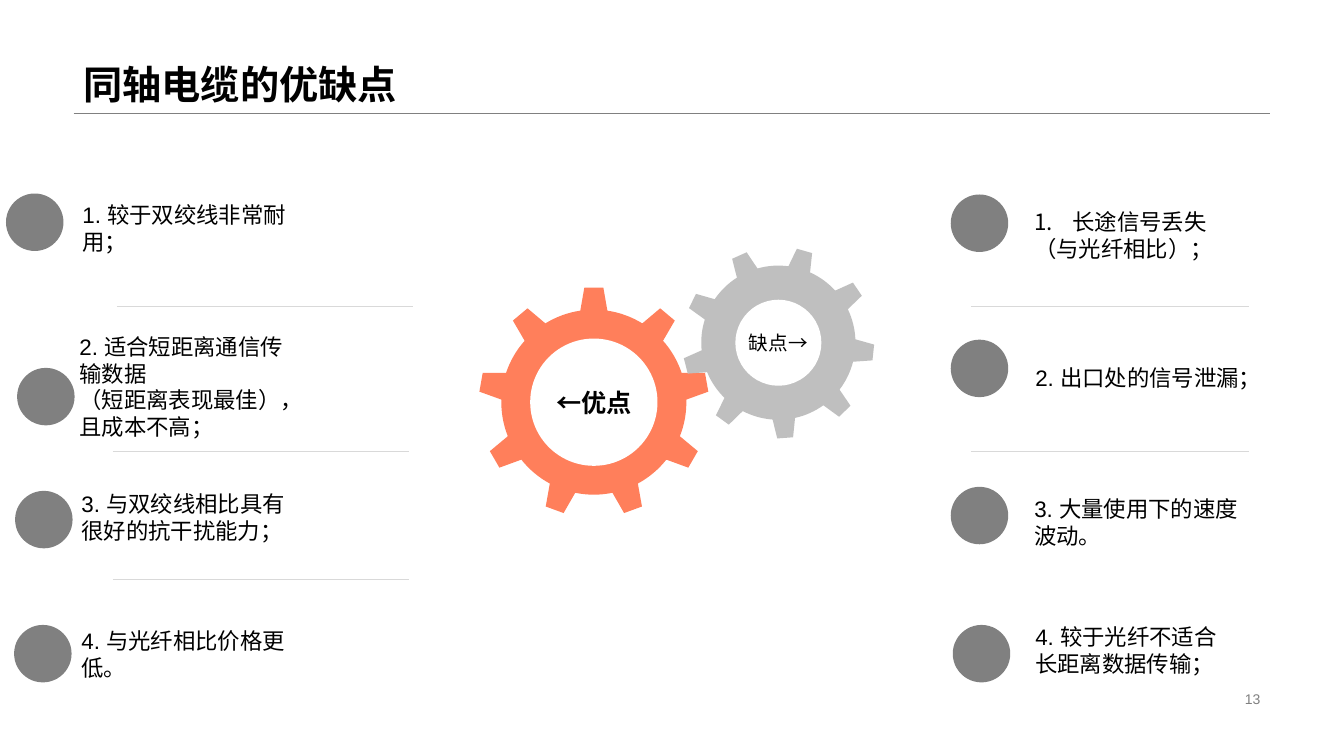
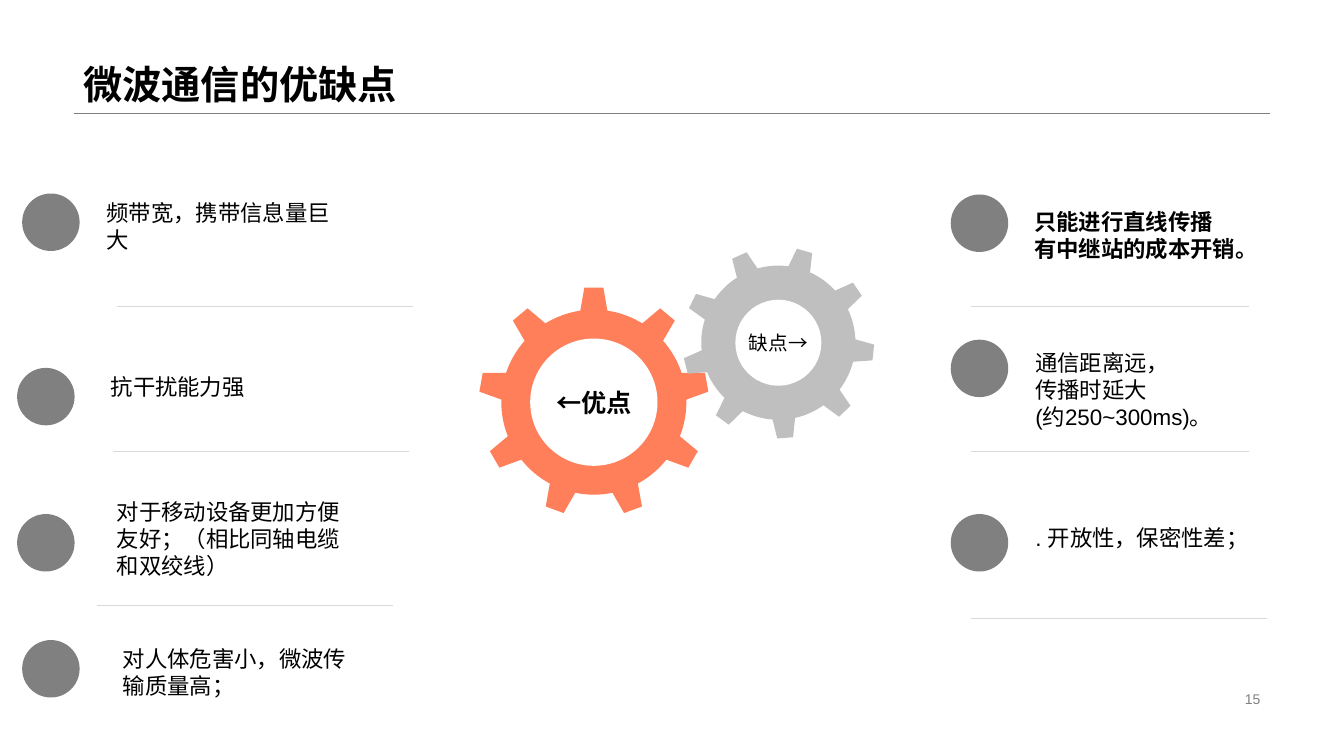
"""Build two slides weighing the pros and cons of transmission media."""

from dataclasses import dataclass
from math import cos, radians, sin

from lxml.etree import SubElement
from pptx import Presentation
from pptx.dml.color import RGBColor
from pptx.enum.shapes import MSO_CONNECTOR, MSO_SHAPE
from pptx.enum.text import MSO_ANCHOR, PP_ALIGN
from pptx.oxml.ns import qn
from pptx.shapes.autoshape import Shape
from pptx.slide import Slide
from pptx.text.text import TextFrame
from pptx.util import Inches, Pt


@dataclass(frozen=True)
class Theme:
    font: str = "Arial"
    text: RGBColor = RGBColor(0x00, 0x00, 0x00)
    white: RGBColor = RGBColor(0xFF, 0xFF, 0xFF)
    gray: RGBColor = RGBColor(0x80, 0x80, 0x80)
    divider: RGBColor = RGBColor(0xD9, 0xD9, 0xD9)
    pros: RGBColor = RGBColor(0xFF, 0x7F, 0x5B)
    cons: RGBColor = RGBColor(0xBF, 0xBF, 0xBF)
    title_size: int = 28
    note_size: int = 16
    number_size: int = 10
    hairline: float = 0.25
    hub_outline: float = 4.5


@dataclass(frozen=True)
class Gear:
    center_x: float
    center_y: float
    radius: float
    turn: float
    color: RGBColor
    hub: float
    label: str
    label_size: int
    bold: bool


@dataclass(frozen=True)
class Note:
    left: float
    top: float
    height: float
    lines: tuple[str, ...]
    bold: bool = False
    numbered: bool = False


@dataclass(frozen=True)
class Divider:
    left: float
    top: float
    width: float = 2.94


@dataclass(frozen=True)
class Dot:
    left: float
    top: float


@dataclass(frozen=True)
class Page:
    title: str
    number: str
    notes: tuple[Note, ...]
    dividers: tuple[Divider, ...]
    dots: tuple[Dot, ...]


THEME = Theme()
NOTE_WIDTH = 2.43
DOT_SIZE = 0.57
TEETH = 9
ROOT_RATIO = 0.805
ROOT_HALF_ANGLE = 8.4
TIP_HALF_ANGLE = 4.75
ARC_STEPS = 8

GEARS = (
    Gear(5.89, 3.99, 1.14, 0, THEME.pros, 1.2, "←优点", 18, True),
    Gear(7.72, 3.4, 0.95, 15.9, THEME.cons, 0.79, "缺点→", 14, False),
)
SHARED_DIVIDERS = (
    Divider(9.63, 3.04, 2.76),
    Divider(9.63, 4.48, 2.76),
    Divider(1.16, 3.04),
    Divider(1.12, 4.48),
)
SHARED_DOTS = (Dot(9.43, 1.93), Dot(9.43, 3.37), Dot(0.17, 3.65))

PAGES = (
    Page(
        "同轴电缆的优缺点",
        "13",
        (
            Note(0.72, 2.09, 0.35, ("1. 较于双绞线非常耐用；",)),
            Note(0.69, 3.53, 0.61, ("2. 适合短距离通信传输数据", "（短距离表现最佳），且成本不高；")),
            Note(0.71, 4.95, 0.35, ("3. 与双绞线相比具有很好的抗干扰能力；",)),
            Note(0.71, 6.03, 0.91, ("4. 与光纤相比价格更低。",)),
            Note(10.16, 1.97, 0.72, ("长途信号丢失", "（与光纤相比）；"), numbered=True),
            Note(10.17, 3.39, 0.72, ("2. 出口处的信号泄漏；",)),
            Note(10.16, 4.82, 0.72, ("3. 大量使用下的速度波动。",)),
            Note(10.17, 6.09, 0.72, ("4. 较于光纤不适合", "长距离数据传输；")),
        ),
        (Divider(1.12, 5.75),),
        (Dot(9.43, 4.83), Dot(9.45, 6.2), Dot(0.14, 6.2), Dot(0.15, 4.87), Dot(0.06, 1.92)),
    ),
    Page(
        "微波通信的优缺点",
        "15",
        (
            Note(0.96, 2.07, 0.35, ("频带宽，携带信息量巨大",)),
            Note(1, 3.53, 0.61, ("抗干扰能力强",)),
            Note(1.06, 5.04, 0.61, ("对于移动设备更加方便友好；（相比同轴电缆和双绞线）",)),
            Note(1.12, 6.36, 0.61, ("对人体危害小，微波传输质量高；",)),
            Note(10.16, 1.97, 0.72, ("只能进行直线传播", "有中继站的成本开销。"), bold=True),
            Note(10.17, 3.24, 1.25, ("通信距离远，", "传播时延大", "(约250~300ms)。")),
            Note(10.17, 5.03, 0.61, (". 开放性，保密性差；",)),
        ),
        (Divider(9.63, 6.13), Divider(0.96, 6)),
        (Dot(0.22, 1.92), Dot(0.22, 6.35), Dot(0.17, 5.1), Dot(9.43, 5.1)),
    ),
)


def write_lines(
    frame: TextFrame,
    lines: tuple[str, ...],
    size: int,
    color: RGBColor = THEME.text,
    bold: bool = False,
    align: PP_ALIGN = PP_ALIGN.LEFT,
) -> None:
    """Fill a text frame with equally styled paragraphs."""
    for index, line in enumerate(lines):
        paragraph = frame.paragraphs[0] if index == 0 else frame.add_paragraph()
        paragraph.text = line
        paragraph.alignment = align
        paragraph.font.name = THEME.font
        paragraph.font.size = Pt(size)
        paragraph.font.bold = bold
        paragraph.font.color.rgb = color


def add_text_box(
    slide: Slide, left: float, top: float, width: float, height: float,
    anchor: MSO_ANCHOR, wrap: bool = True,
) -> TextFrame:
    """Add a text box and return its frame."""
    frame = slide.shapes.add_textbox(
        Inches(left), Inches(top), Inches(width), Inches(height)
    ).text_frame
    frame.vertical_anchor = anchor
    frame.word_wrap = wrap
    return frame


def add_rule(slide: Slide, left: float, top: float, width: float, color: RGBColor) -> None:
    """Draw a horizontal hairline."""
    connector = slide.shapes.add_connector(
        MSO_CONNECTOR.STRAIGHT, Inches(left), Inches(top), Inches(left + width), Inches(top)
    )
    connector.line.color.rgb = color
    connector.line.width = Pt(THEME.hairline)
    SubElement(connector._element.spPr, qn("a:effectLst"))


def fill_shape(shape: Shape, color: RGBColor) -> None:
    """Give a shape a flat fill without line or shadow."""
    shape.shadow.inherit = False
    shape.fill.solid()
    shape.fill.fore_color.rgb = color
    shape.line.fill.background()


def add_circle(slide: Slide, left: float, top: float, size: float, color: RGBColor) -> Shape:
    """Draw a filled circle."""
    circle = slide.shapes.add_shape(
        MSO_SHAPE.OVAL, Inches(left), Inches(top), Inches(size), Inches(size)
    )
    fill_shape(circle, color)
    return circle


def gear_outline(gear: Gear) -> list[tuple[int, int]]:
    """Work out the corner points of a gear, clockwise."""
    pitch = 360 / TEETH
    root = gear.radius * ROOT_RATIO
    gap = pitch - 2 * ROOT_HALF_ANGLE
    polar = []
    for tooth in range(TEETH):
        middle = gear.turn + tooth * pitch
        polar += [(gear.radius, middle - TIP_HALF_ANGLE), (gear.radius, middle + TIP_HALF_ANGLE)]
        polar += [
            (root, middle + ROOT_HALF_ANGLE + gap * step / ARC_STEPS)
            for step in range(ARC_STEPS + 1)
        ]
    return [
        (
            Inches(gear.center_x + radius * sin(radians(angle))),
            Inches(gear.center_y - radius * cos(radians(angle))),
        )
        for radius, angle in polar
    ]


def add_gear(slide: Slide, gear: Gear) -> None:
    """Draw the toothed outline of a gear."""
    start, *points = gear_outline(gear)
    builder = slide.shapes.build_freeform(*start)
    builder.add_line_segments(points, close=True)
    fill_shape(builder.convert_to_shape(), gear.color)


def add_hub(slide: Slide, gear: Gear) -> None:
    """Draw the labelled white hub of a gear."""
    half = gear.hub / 2
    hub = add_circle(slide, gear.center_x - half, gear.center_y - half, gear.hub, THEME.white)
    hub.line.color.rgb = THEME.white
    hub.line.width = Pt(THEME.hub_outline)
    frame = hub.text_frame
    frame.margin_left = frame.margin_right = frame.margin_top = frame.margin_bottom = 0
    frame.vertical_anchor = MSO_ANCHOR.MIDDLE
    frame.word_wrap = False
    write_lines(frame, (gear.label,), gear.label_size, bold=gear.bold, align=PP_ALIGN.CENTER)


def add_note(slide: Slide, note: Note) -> None:
    """Write one argument beside its dot."""
    frame = add_text_box(
        slide, note.left, note.top, NOTE_WIDTH, note.height, MSO_ANCHOR.MIDDLE, wrap=False
    )
    write_lines(frame, note.lines, THEME.note_size, bold=note.bold)
    if note.numbered:
        properties = frame.paragraphs[0]._p.get_or_add_pPr()
        properties.set("marL", str(Inches(0.38)))
        properties.set("indent", str(Inches(-0.38)))
        numbering = SubElement(properties, qn("a:buAutoNum"), type="arabicPeriod")
        properties.insert(0, numbering)


def add_page_frame(slide: Slide, page: Page) -> None:
    """Draw the title, its rule and the page number."""
    add_rule(slide, 0.73, 1.12, 11.87, THEME.gray)
    title = add_text_box(slide, 0.73, 0, 11.87, 1.12, MSO_ANCHOR.BOTTOM)
    write_lines(title, (page.title,), THEME.title_size, bold=True)
    title.paragraphs[0].line_spacing = 0.9
    number = add_text_box(slide, 9.42, 6.82, 3.18, 0.23, MSO_ANCHOR.MIDDLE)
    write_lines(number, (page.number,), THEME.number_size, THEME.gray, align=PP_ALIGN.RIGHT)


def add_page(slide: Slide, page: Page) -> None:
    """Draw a whole comparison slide."""
    add_page_frame(slide, page)
    for divider in SHARED_DIVIDERS + page.dividers:
        add_rule(slide, divider.left, divider.top, divider.width, THEME.divider)
    for gear in GEARS:
        add_gear(slide, gear)
    for gear in GEARS:
        add_hub(slide, gear)
    for dot in SHARED_DOTS + page.dots:
        add_circle(slide, dot.left, dot.top, DOT_SIZE, THEME.gray)
    for note in page.notes:
        add_note(slide, note)


def main() -> None:
    """Build and save the presentation."""
    presentation = Presentation()
    presentation.slide_width = Inches(13.33)
    presentation.slide_height = Inches(7.5)
    blank_layout = presentation.slide_layouts[6]
    for page in PAGES:
        add_page(presentation.slides.add_slide(blank_layout), page)
    presentation.save("out.pptx")


if __name__ == "__main__":
    main()
